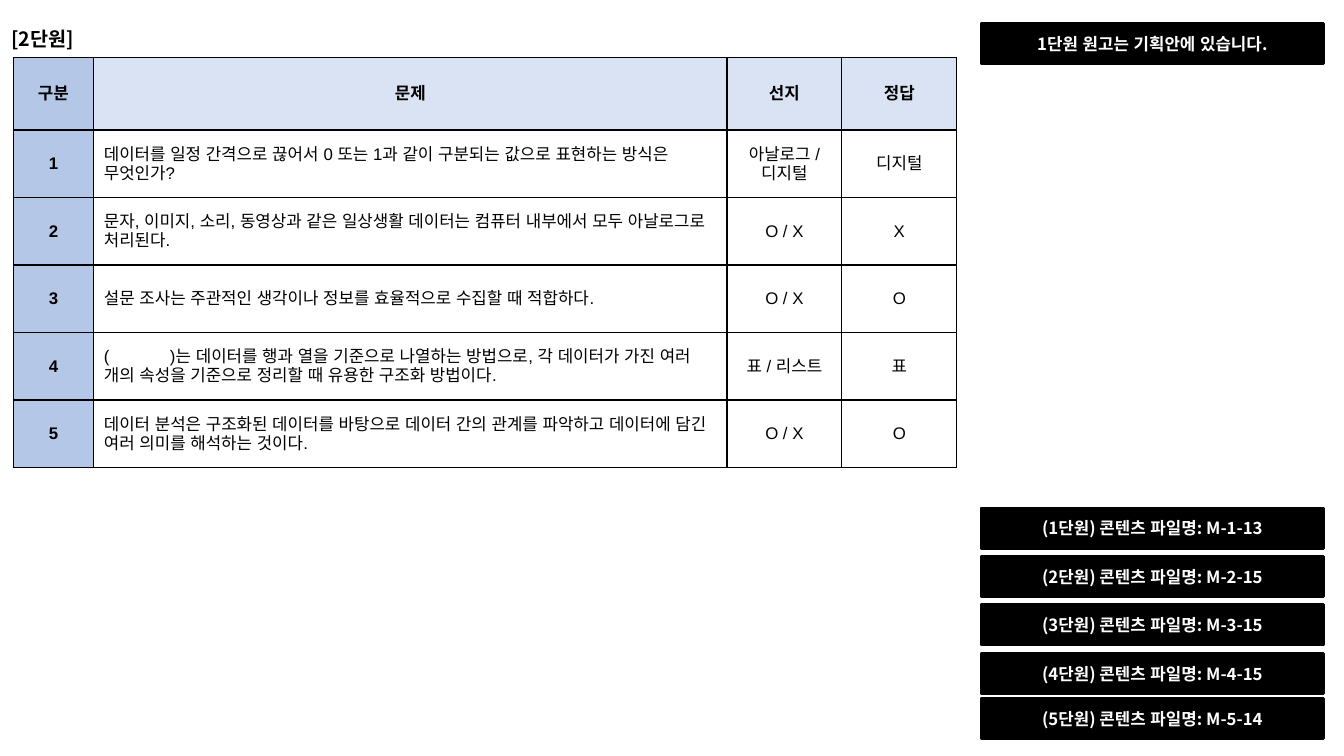
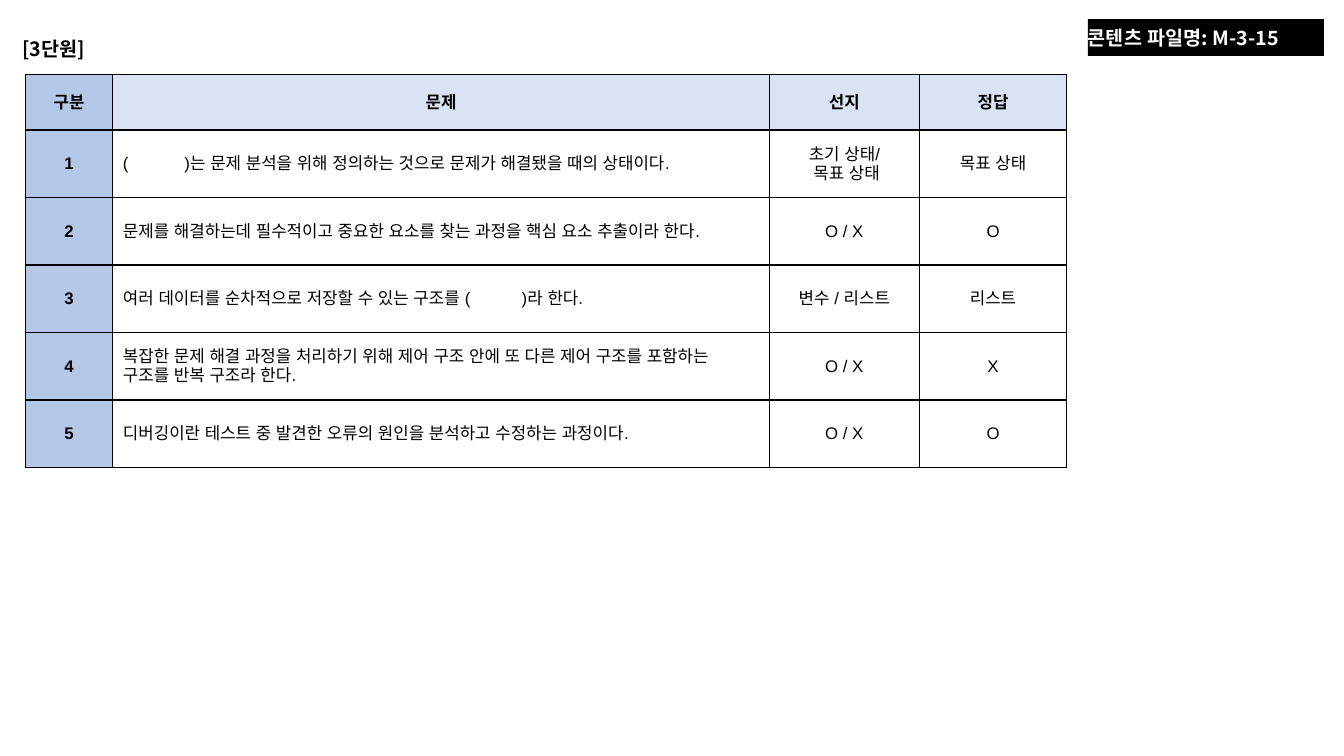
from lxml.etree import SubElement
from pptx import Presentation
from pptx.dml.color import RGBColor
from pptx.enum.lang import MSO_LANGUAGE_ID
from pptx.enum.shapes import MSO_SHAPE
from pptx.enum.text import MSO_ANCHOR, MSO_AUTO_SIZE, PP_ALIGN
from pptx.oxml.ns import qn
from pptx.util import Inches, Pt

# Shared style
BLACK, WHITE = "000000", "FFFFFF"
NUMBER_BLUE, HEADER_BLUE = "B4C7E7", "DAE3F3"
HEADING_FONT, TABLE_FONT = "Noto Sans CJK KR", "Arial"
HEADERS = ("구분", "문제", "선지", "정답")
ROW_HEIGHT = 0.67

UNIT_2 = [
    ("데이터를 일정 간격으로 끊어서 0 또는 1과 같이 구분되는 값으로 표현하는 방식은 무엇인가?",
     "아날로그 / 디지털", "디지털"),
    ("문자, 이미지, 소리, 동영상과 같은 일상생활 데이터는 컴퓨터 내부에서 모두 아날로그로 처리된다.",
     "O / X", "X"),
    ("설문 조사는 주관적인 생각이나 정보를 효율적으로 수집할 때 적합하다.", "O / X", "O"),
    ("(             )는 데이터를 행과 열을 기준으로 나열하는 방법으로, 각 데이터가 가진 여러 "
     "개의 속성을 기준으로 정리할 때 유용한 구조화 방법이다.", "표 / 리스트", "표"),
    ("데이터 분석은 구조화된 데이터를 바탕으로 데이터 간의 관계를 파악하고 데이터에 담긴 "
     "여러 의미를 해석하는 것이다.", "O / X", "O"),
]
UNIT_3 = [
    ("(            )는 문제 분석을 위해 정의하는 것으로 문제가 해결됐을 때의 상태이다.",
     "초기 상태/\n 목표 상태", "목표 상태"),
    ("문제를 해결하는데 필수적이고 중요한 요소를 찾는 과정을 핵심 요소 추출이라 한다.", "O / X", "O"),
    ("여러 데이터를 순차적으로 저장할 수 있는 구조를 (           )라 한다.", "변수 / 리스트", "리스트"),
    ("복잡한 문제 해결 과정을 처리하기 위해 제어 구조 안에 또 다른 제어 구조를 포함하는 "
     "구조를 반복 구조라 한다.", "O / X", "X"),
    ("디버깅이란 테스트 중 발견한 오류의 원인을 분석하고 수정하는 과정이다.", "O / X", "O"),
]
# Top edge and text of each content file label
FILE_LABELS = [
    (5.04, "(1단원) 콘텐츠 파일명: M-1-13"),
    (5.52, "(2단원) 콘텐츠 파일명: M-2-15"),
    (6.0, "(3단원) 콘텐츠 파일명: M-3-15"),
    (6.48, "(4단원) 콘텐츠 파일명: M-4-15"),
    (6.93, "(5단원) 콘텐츠 파일명: M-5-14"),
]


def color(value):
    return RGBColor.from_string(value)


def write(frame, text, size, font_name, ink=BLACK, bold=True, align=PP_ALIGN.CENTER):
    """Fill a text frame and format each of its paragraphs."""
    frame.text = text
    frame.word_wrap = True
    for para in frame.paragraphs:
        para.alignment = align
        font = para.font
        font.size, font.bold, font.name = Pt(size), bold, font_name
        font.color.rgb = color(ink)
        font.language_id = MSO_LANGUAGE_ID.KOREAN
        SubElement(font._element, qn("a:ea"), typeface=font_name)


def add_page(deck, title, left, top):
    page = deck.slides.add_slide(deck.slide_layouts[5])
    box = page.shapes.title
    box.left, box.top = Inches(left), Inches(top)
    box.width, box.height = Inches(6.11), Inches(0.38)
    write(box.text_frame, title, 14, HEADING_FONT, align=PP_ALIGN.LEFT)
    box.text_frame.auto_size = MSO_AUTO_SIZE.NONE
    box.text_frame.vertical_anchor = MSO_ANCHOR.MIDDLE
    return page


def add_label(page, text, left, top, width=3.4, height=0.4, size=12,
              line_width=2, align=PP_ALIGN.CENTER, inset=0.1):
    box = page.shapes.add_shape(MSO_SHAPE.RECTANGLE, Inches(left), Inches(top),
                                Inches(width), Inches(height))
    box.shadow.inherit = False
    box.fill.solid()
    box.fill.fore_color.rgb = color(BLACK)
    box.line.color.rgb = color(BLACK)
    box.line.width = Pt(line_width)
    frame = box.text_frame
    frame.margin_left = frame.margin_right = Inches(inset)
    frame.margin_top = frame.margin_bottom = Inches(inset / 2)
    frame.vertical_anchor = MSO_ANCHOR.MIDDLE
    write(frame, text, size, HEADING_FONT, WHITE, align=align)


def format_cell(cell, fill):
    # Borders come before the fill in the cell's properties
    properties = cell._tc.get_or_add_tcPr()
    for side in ("a:lnL", "a:lnR", "a:lnT", "a:lnB"):
        line = SubElement(properties, qn(side), w=str(Pt(1)))
        SubElement(SubElement(line, qn("a:solidFill")), qn("a:srgbClr"), val=BLACK)
    cell.fill.solid()
    cell.fill.fore_color.rgb = color(fill)
    cell.vertical_anchor = MSO_ANCHOR.MIDDLE


def add_quiz(page, questions, left, top, widths, header_height):
    rows = [HEADERS] + [(str(number), *question)
                        for number, question in enumerate(questions, 1)]
    heights = [header_height] + [ROW_HEIGHT] * len(questions)
    table = page.shapes.add_table(len(rows), len(widths), Inches(left), Inches(top),
                                  Inches(sum(widths)), Inches(sum(heights))).table
    table.first_row = table.horz_banding = False
    for column, width in zip(table.columns, widths):
        column.width = Inches(width)
    for row, height in zip(table.rows, heights):
        row.height = Inches(height)
    for i, texts in enumerate(rows):
        for j, text in enumerate(texts):
            cell = table.cell(i, j)
            format_cell(cell, NUMBER_BLUE if j == 0 else HEADER_BLUE if i == 0 else WHITE)
            is_question = i > 0 and j == 1
            write(cell.text_frame, text, 12, TABLE_FONT, bold=i == 0 or j == 0,
                  align=PP_ALIGN.LEFT if is_question else PP_ALIGN.CENTER)


def build_unit_2(deck):
    page = add_page(deck, "[2단원]", 0.01, 0.19)
    add_quiz(page, UNIT_2, 0.13, 0.57, (0.8, 6.28, 1.14, 1.14), 0.72)
    for top, text in FILE_LABELS:
        add_label(page, text, 9.73, top)
    add_label(page, "1단원 원고는 기획안에 있습니다.", 9.73, 0.23)


def build_unit_3(deck):
    page = add_page(deck, "[3단원]", 0.12, 0.29)
    add_quiz(page, UNIT_3, 0.25, 0.74, (0.87, 6.51, 1.49, 1.46), 0.55)
    add_label(page, "콘텐츠 파일명: M-3-15", 10.79, 0.19, 2.34, 0.36, size=14,
              line_width=0.5, align=PP_ALIGN.LEFT, inset=0)


def main():
    deck = Presentation()
    deck.slide_width, deck.slide_height = Inches(13.33), Inches(7.5)
    build_unit_2(deck)
    build_unit_3(deck)
    deck.save("out.pptx")


if __name__ == "__main__":
    main()
